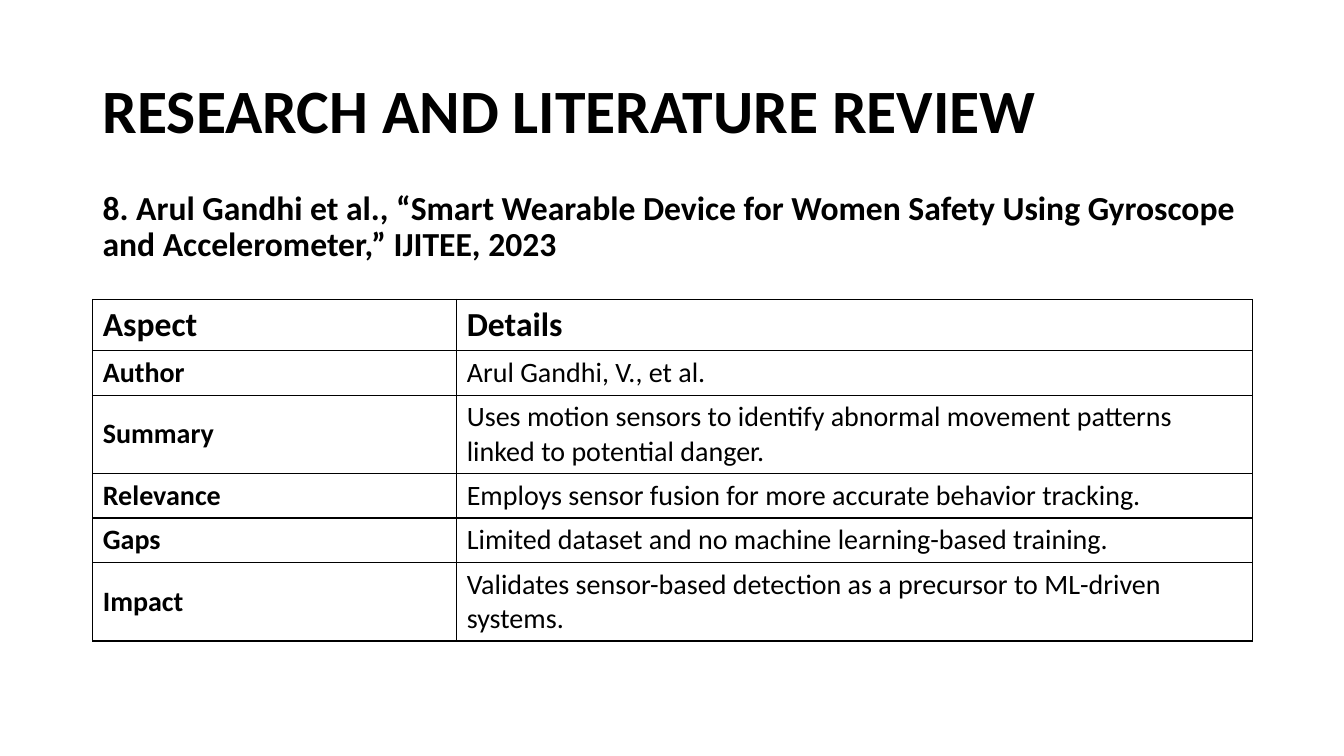
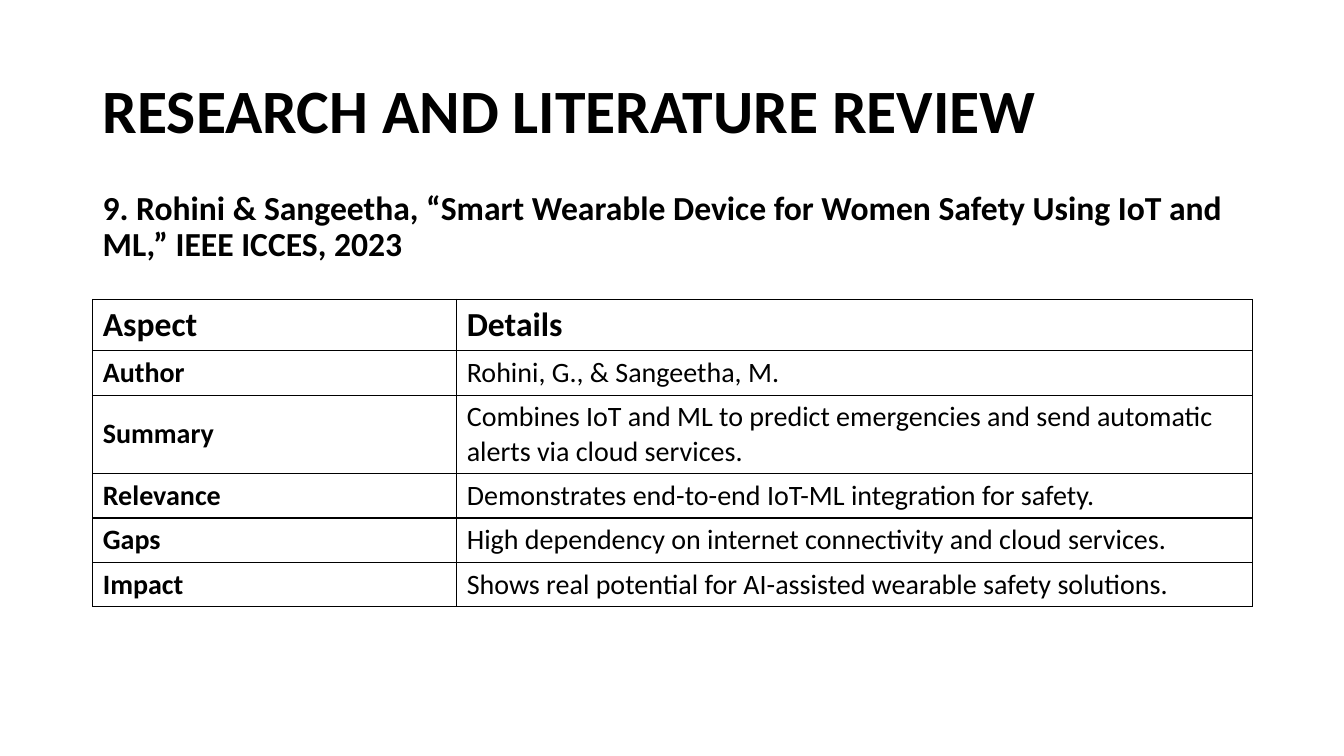
import pptx
import pptx.dml.color
import pptx.enum.text
import pptx.oxml
import pptx.oxml.ns
import pptx.util

Inches = pptx.util.Inches
Pt = pptx.util.Pt
PP_ALIGN = pptx.enum.text.PP_ALIGN
MSO_ANCHOR = pptx.enum.text.MSO_ANCHOR

BLACK = pptx.dml.color.RGBColor(0x00, 0x00, 0x00)
FONT = "Calibri"
LEFT, WIDTH = Inches(0.92), Inches(11.5)
COLUMNS = (Inches(3.61), WIDTH - Inches(3.61))
HEADER_HEIGHT, ROW_HEIGHT, TALL_ROW_HEIGHT = Inches(0.51), Inches(0.44), Inches(0.78)
LINE_CHARS = 65
TITLE = "RESEARCH AND LITERATURE REVIEW"
ASPECTS = ("Author", "Summary", "Relevance", "Gaps", "Impact")
REVIEWS = (
    ("8. Arul Gandhi et al., “Smart Wearable Device for Women Safety Using Gyroscope "
     "and Accelerometer,” IJITEE, 2023",
     ("Arul Gandhi, V., et al.",
      "Uses motion sensors to identify abnormal movement patterns linked to potential danger.",
      "Employs sensor fusion for more accurate behavior tracking.",
      "Limited dataset and no machine learning-based training.",
      "Validates sensor-based detection as a precursor to ML-driven systems.")),
    ("9. Rohini & Sangeetha, “Smart Wearable Device for Women Safety Using IoT and ML,” "
     "IEEE ICCES, 2023",
     ("Rohini, G., & Sangeetha, M.",
      "Combines IoT and ML to predict emergencies and send automatic alerts via cloud services.",
      "Demonstrates end-to-end IoT-ML integration for safety.",
      "High dependency on internet connectivity and cloud services.",
      "Shows real potential for AI-assisted wearable safety solutions.")),
)


def write(tf, text, size=20, bold=True, spacing=None, before=None):
    """Write one left-aligned paragraph into a text frame."""
    p = tf.paragraphs[0]
    p.alignment = PP_ALIGN.LEFT
    p.line_spacing = spacing
    p.space_before = before
    r = p.add_run()
    r.text = text
    r.font.name = FONT
    r.font.size = Pt(size)
    r.font.bold = bold
    r.font.color.rgb = BLACK


def add_borders(cell):
    """Draw a thin black line on every side of a table cell."""
    tcPr = cell._tc.get_or_add_tcPr()
    for i, side in enumerate(("lnL", "lnR", "lnT", "lnB")):
        tcPr.insert(i, pptx.oxml.parse_xml(
            f'<a:{side} {pptx.oxml.ns.nsdecls("a")} w="{Pt(1)}"><a:solidFill>'
            f'<a:srgbClr val="{BLACK}"/></a:solidFill></a:{side}>'))


class Deck:
    """Hold the presentation, its style and the current slide."""

    def __init__(self):
        """Start a widescreen presentation."""
        self.prs = pptx.Presentation()
        self.prs.slide_width = Inches(13.33)
        self.prs.slide_height = Inches(7.5)
        self.s = None

    def add_slide(self, title):
        """Add a slide with a formatted title."""
        self.s = self.prs.slides.add_slide(self.prs.slide_layouts[5])
        sp = self.s.shapes.title
        sp.left, sp.top, sp.width, sp.height = LEFT, Inches(0.4), WIDTH, Inches(1.45)
        tf = sp.text_frame
        tf.auto_size = pptx.enum.text.MSO_AUTO_SIZE.NONE
        tf.vertical_anchor = MSO_ANCHOR.MIDDLE
        write(tf, title, size=44, spacing=0.9)

    def add_citation(self, text):
        """Add the reviewed paper below the title."""
        tf = self.s.shapes.add_textbox(LEFT, Inches(1.85), WIDTH, Inches(1)).text_frame
        tf.word_wrap = True
        write(tf, text, size=24, spacing=0.9, before=Pt(10))

    def add_table(self, header, rows):
        """Add a bordered two-column table."""
        lines = (header, *rows)
        heights = [HEADER_HEIGHT] + [
            TALL_ROW_HEIGHT if len(detail) > LINE_CHARS else ROW_HEIGHT for _, detail in rows]
        table = self.s.shapes.add_table(
            len(lines), len(COLUMNS), LEFT, Inches(2.97), WIDTH, sum(heights)).table
        table.first_row = table.horz_banding = False
        for column, width in zip(table.columns, COLUMNS):
            column.width = width
        for i, texts in enumerate(lines):
            table.rows[i].height = heights[i]
            for j, text in enumerate(texts):
                cell = table.cell(i, j)
                cell.fill.background()
                cell.vertical_anchor = MSO_ANCHOR.MIDDLE
                add_borders(cell)
                write(cell.text_frame, text, size=20 if i else 24, bold=i == 0 or j == 0)


def main():
    """Build and save the review slides."""
    deck = Deck()
    for citation, details in REVIEWS:
        deck.add_slide(TITLE)
        deck.add_citation(citation)
        deck.add_table(("Aspect", "Details"), tuple(zip(ASPECTS, details)))
    deck.prs.save("out.pptx")


if __name__ == "__main__":
    main()
